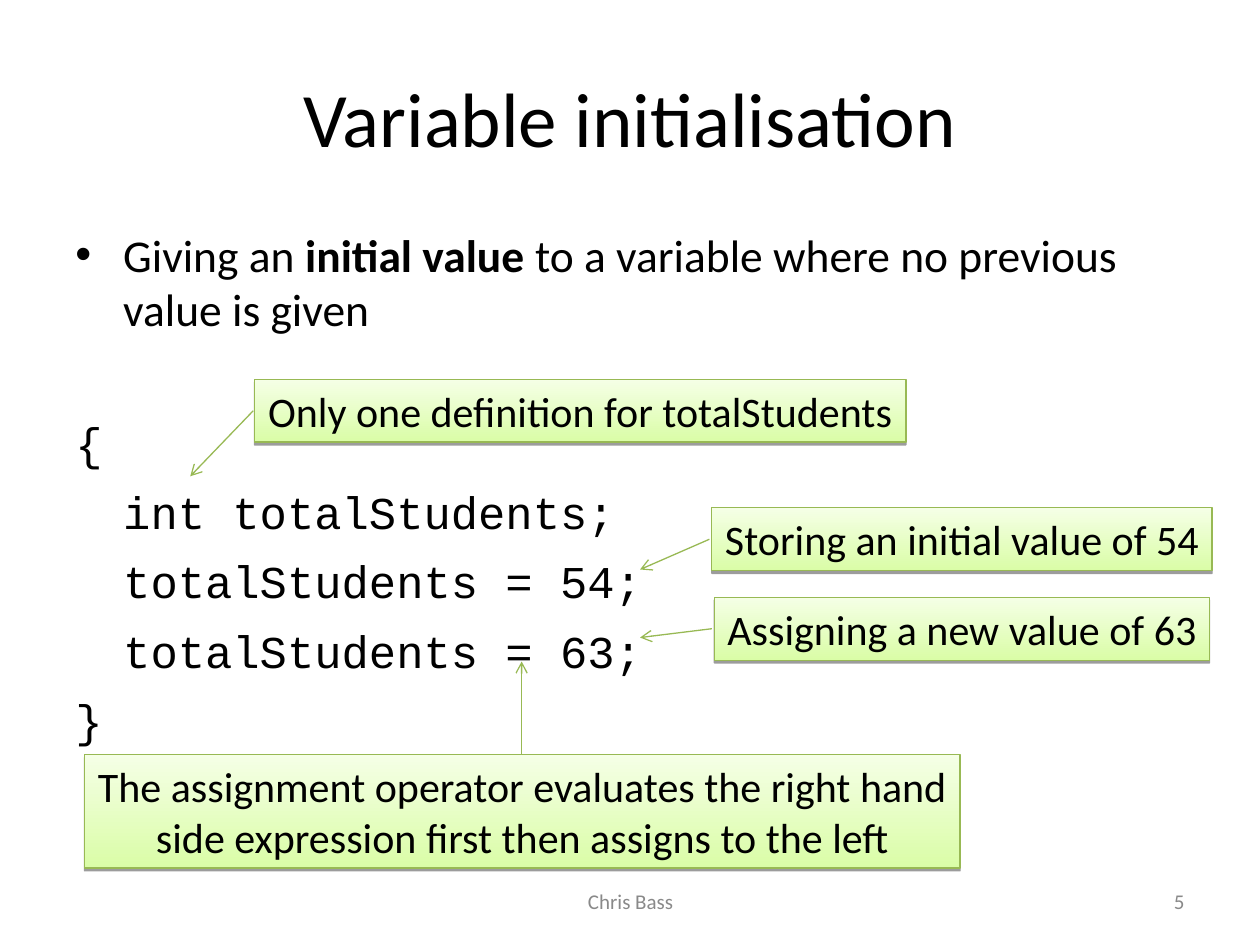
from dataclasses import dataclass

from lxml import etree
from pptx import Presentation
from pptx import util as u
from pptx.dml.color import RGBColor
from pptx.enum import shapes, text
from pptx.oxml import ns, parse_xml


@dataclass(frozen=True)
class Theme:
    ink: str = "000000"
    grey: str = "898989"
    green_line: str = "98B954"
    green_deep: str = "DAFDA7"
    green_pale: str = "F5FFE6"
    sans: str = "Calibri"
    mono: str = "Courier New"
    title: int = 44
    body: int = 26
    note: int = 24
    footer: int = 12


THEME = Theme()
CENTER, RIGHT = text.PP_ALIGN.CENTER, text.PP_ALIGN.RIGHT
MIDDLE = text.MSO_ANCHOR.MIDDLE


def apply(target, values):
    for name, value in values.items():
        setattr(target, name, value)


def add_span(para, words, size, color=THEME.ink, font=THEME.sans, bold=False):
    span = para.add_run()
    span.text = words
    apply(span.font, {"name": font, "size": u.Pt(size), "bold": bold})
    span.font.color.rgb = RGBColor.from_string(color)


def add_label(page, place, words, size, align, color=THEME.ink):
    """A single vertically centred line of text."""
    box = page.shapes.add_textbox(*map(u.Inches, place))
    apply(box.text_frame, {"word_wrap": True, "vertical_anchor": MIDDLE})
    para = box.text_frame.paragraphs[0]
    para.alignment = align
    add_span(para, words, size, color)


def format_body_para(para, space, bullet=None):
    """Hanging indent, with or without a bullet."""
    para.space_before = u.Pt(space)
    props = para._p.get_or_add_pPr()
    props.set("marL", str(u.Inches(0.38)))
    props.set("indent", str(u.Inches(-0.38)))
    if bullet:
        font = etree.SubElement(props, ns.qn("a:buFont"))
        font.set("typeface", "Arial")
        etree.SubElement(props, ns.qn("a:buChar")).set("char", bullet)
    else:
        etree.SubElement(props, ns.qn("a:buNone"))


def add_body(page, place, sentence, code):
    box = page.shapes.add_textbox(*map(u.Inches, place))
    frame = box.text_frame
    frame.word_wrap = True
    para = frame.paragraphs[0]
    format_body_para(para, 6.5, "•")
    for words, bold in sentence:
        add_span(para, words, THEME.body, bold=bold)
    for index, line in enumerate(code):
        para = frame.add_paragraph()
        # The first code line stands clear of the sentence
        format_body_para(para, 8.5 if index else 45)
        add_span(para, line, THEME.body, font=THEME.mono)


def style_line(line):
    line.color.rgb = RGBColor.from_string(THEME.green_line)
    line.width = u.Pt(0.75)


def add_note(page, place, words, wrap):
    """A green gradient box with a thin shadow below it."""
    box = page.shapes.add_shape(shapes.MSO_SHAPE.RECTANGLE, *map(u.Inches, place))
    style_line(box.line)
    box.fill.gradient()
    box.fill.gradient_angle = 90
    for stop, color in zip(box.fill.gradient_stops, (THEME.green_deep, THEME.green_pale)):
        stop.color.rgb = RGBColor.from_string(color)
    for stop, position in zip(box.fill.gradient_stops, (0, 1)):
        stop.position = position

    box.shadow.inherit = False
    box._element.spPr.find(ns.qn("a:effectLst")).append(parse_xml(
        f'<a:outerShdw {ns.nsdecls("a")} blurRad="0" dist="{u.Pt(1.6)}" dir="5400000" '
        'rotWithShape="0"><a:srgbClr val="000000"><a:alpha val="38000"/></a:srgbClr>'
        '</a:outerShdw>'))

    frame = box.text_frame
    apply(frame, {"word_wrap": wrap, "vertical_anchor": text.MSO_ANCHOR.TOP,
                  "auto_size": text.MSO_AUTO_SIZE.SHAPE_TO_FIT_TEXT})
    frame.paragraphs[0].alignment = CENTER
    add_span(frame.paragraphs[0], words, THEME.note)


def add_arrow(page, start, end):
    arrow = page.shapes.add_connector(
        shapes.MSO_CONNECTOR.STRAIGHT, *map(u.Inches, start + end))
    style_line(arrow.line)
    etree.SubElement(arrow.line._get_or_add_ln(), ns.qn("a:tailEnd")).set("type", "arrow")
    etree.SubElement(arrow._element.spPr, ns.qn("a:effectLst"))


def main():
    deck = Presentation()
    deck.slide_width, deck.slide_height = u.Inches(10), u.Inches(7.5)
    page = deck.slides.add_slide(deck.slide_layouts[6])

    # Title and body
    add_label(page, (0.5, 0.3, 9, 1.25), "Variable initialisation", THEME.title, CENTER)
    add_body(
        page, (0.5, 1.75, 9, 4.95),
        [("Giving an ", False), ("initial value", True),
         (" to a variable where no previous value is given", False)],
        ["{", "\tint totalStudents;", "\ttotalStudents = 54;",
         "\ttotalStudents = 63;", "}"])

    # Footer
    add_label(page, (3.42, 6.95, 3.17, 0.4), "Chris Bass", THEME.footer, CENTER, THEME.grey)
    add_label(page, (7.17, 6.95, 2.33, 0.4), "5", THEME.footer, RIGHT, THEME.grey)

    # Notes, each with an arrow to its code
    notes = [
        ((5.65, 4.03, 3.97, 0.5), "Storing an initial value of 54", False,
         (5.63, 4.28), (5.08, 4.52)),
        ((5.67, 4.74, 3.93, 0.5), "Assigning a new value of 63", False,
         (5.65, 4.99), (5.08, 5.06)),
        ((2.02, 3.01, 5.17, 0.5), "Only one definition for totalStudents", False,
         (2.01, 3.26), (1.51, 3.78)),
        ((0.67, 5.99, 6.95, 0.9),
         "The assignment operator evaluates the right hand side expression first "
         "then assigns to the left", True,
         (4.14, 5.99), (4.14, 5.25)),
    ]
    for place, words, wrap, start, end in notes:
        add_note(page, place, words, wrap)
        add_arrow(page, start, end)

    deck.save("out.pptx")


if __name__ == "__main__":
    main()
